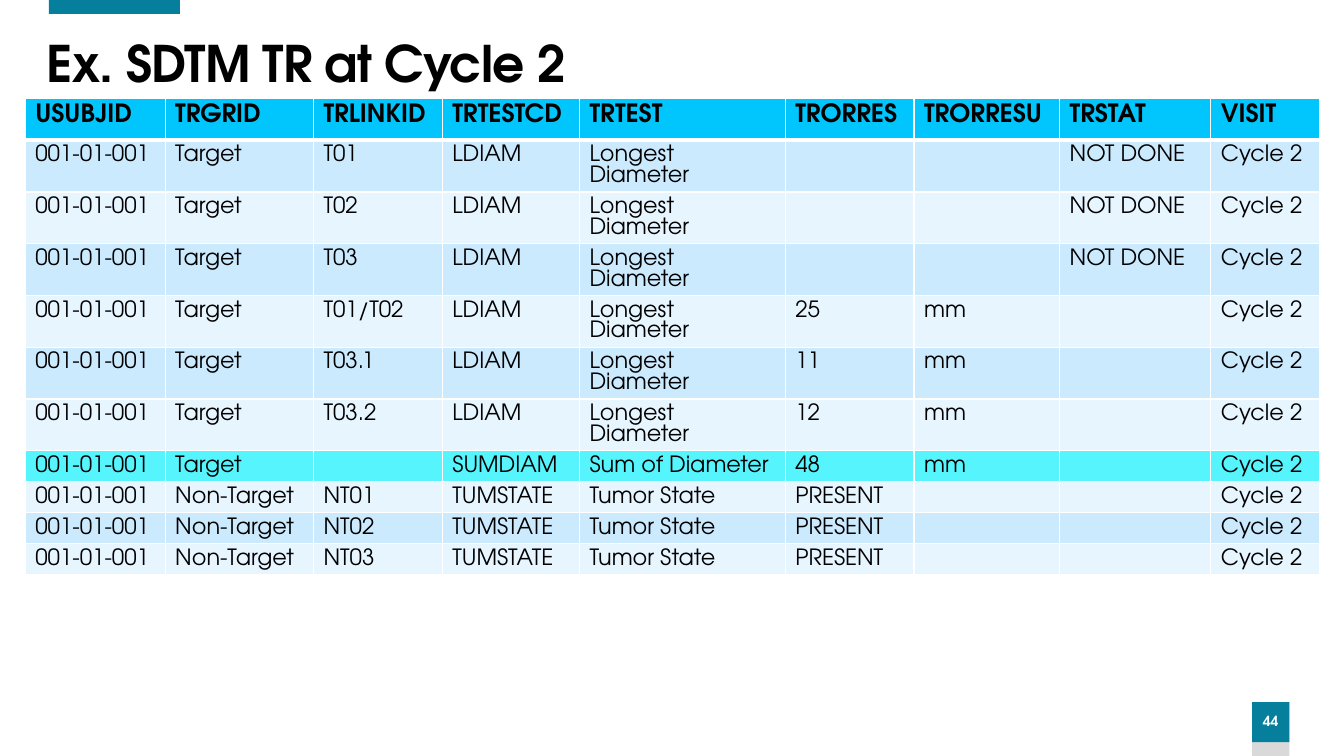
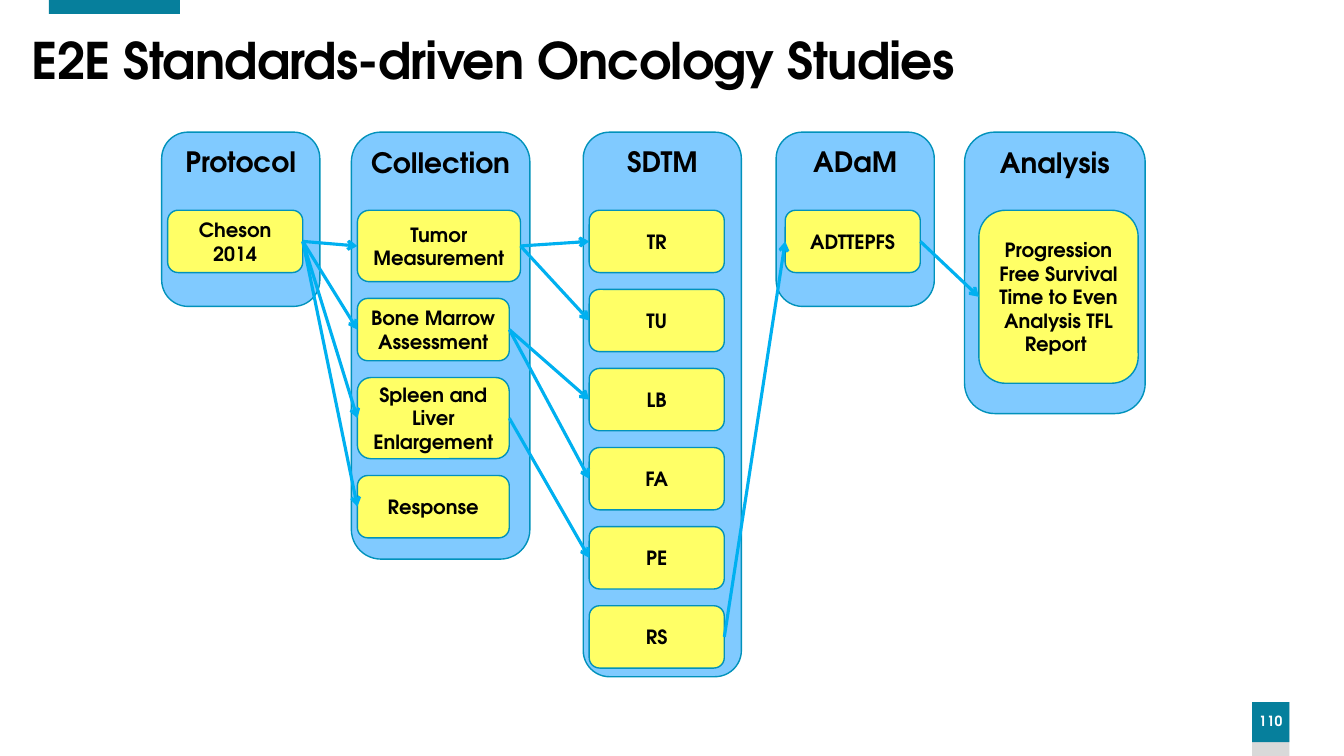
from lxml import etree
from pptx import Presentation
from pptx.dml.color import RGBColor
from pptx.enum import shapes, text
from pptx.oxml import ns
from pptx.util import Pt

FONT = "TeX Gyre Adventor"
BLACK = RGBColor(0x00, 0x00, 0x00)
WHITE = RGBColor(0xFF, 0xFF, 0xFF)
GREY = RGBColor(0xD9, 0xD9, 0xD9)
TEAL = RGBColor(0x06, 0x7F, 0x9C)
HEADER = RGBColor(0x01, 0xC6, 0xFD)
BANDS = (RGBColor(0xE7, 0xF5, 0xFF), RGBColor(0xCC, 0xEA, 0xFE))
SUM_ROW = RGBColor(0x56, 0xF5, 0xFD)
COLUMN = RGBColor(0x80, 0xCA, 0xFF)
BOX = RGBColor(0xFF, 0xFF, 0x66)
OUTLINE = RGBColor(0x01, 0x92, 0xBB)
ARROW = RGBColor(0x00, 0xB0, 0xF0)

LEFT, CENTER = text.PP_ALIGN.LEFT, text.PP_ALIGN.CENTER
TOP, MIDDLE = text.MSO_ANCHOR.TOP, text.MSO_ANCHOR.MIDDLE
RECT = shapes.MSO_SHAPE.RECTANGLE
ROUNDED = shapes.MSO_SHAPE.ROUNDED_RECTANGLE
LEFT_SITE, RIGHT_SITE = 1, 3

TABLE_COLS = (100, 106, 92, 98, 147, 92, 104, 108, 78)
TABLE_HEAD = ("USUBJID", "TRGRID", "TRLINKID", "TRTESTCD", "TRTEST",
              "TRORRES", "TRORRESU", "TRSTAT", "VISIT")
LESION = ("LDIAM", "Longest Diameter")
STATE = ("TUMSTATE", "Tumor State", "PRESENT", "", "")
RECORDS = (
    ("Target", "T01", *LESION, "", "", "NOT DONE"),
    ("Target", "T02", *LESION, "", "", "NOT DONE"),
    ("Target", "T03", *LESION, "", "", "NOT DONE"),
    ("Target", "T01/T02", *LESION, "25", "mm", ""),
    ("Target", "T03.1", *LESION, "11", "mm", ""),
    ("Target", "T03.2", *LESION, "12", "mm", ""),
    ("Target", "", "SUMDIAM", "Sum of Diameter", "48", "mm", ""),
    ("Non-Target", "NT01", *STATE),
    ("Non-Target", "NT02", *STATE),
    ("Non-Target", "NT03", *STATE),
)

COLUMN_TOP, BOX_TOP, BOX_GAP, BOX_H = 94.4, 150.2, 12, 44.5
SDTM_DOMAINS = ("TR", "TU", "LB", "FA", "PE", "RS")
STAGES = (
    ("Protocol", 115.5, 113, 124.5, 4.3, (("Cheson 2014", 96.5, BOX_H),)),
    ("Collection", 251, 127.5, 305, 4.3, (
        ("Tumor Measurement", 116.5, 51),
        ("Bone Marrow Assessment", 108.5, BOX_H),
        ("Spleen and Liver Enlargement", 108.5, 58),
        ("Response", 108.5, BOX_H))),
    ("SDTM", 416.6, 113, 389, 4.3,
     tuple((name, 96.5, BOX_H) for name in SDTM_DOMAINS)),
    ("ADaM", 554.4, 113, 124.5, 6.5, (("ADTTEPFS", 96.5, BOX_H),)),
    ("Analysis", 689, 129, 201, 10.2, (
        ("Progression Free Survival Time to Even Analysis TFL Report ",
         113.8, 123.6),)),
)
FLOWS = (
    ("Cheson 2014", ("Tumor Measurement", "Bone Marrow Assessment",
                     "Spleen and Liver Enlargement", "Response")),
    ("Tumor Measurement", ("TR", "TU")),
    ("Bone Marrow Assessment", ("LB", "FA")),
    ("Spleen and Liver Enlargement", ("PE",)),
    ("RS", ("ADTTEPFS",)),
    ("ADTTEPFS", (STAGES[-1][-1][0][0],)),
)


def write(tf, content, size=14, color=BLACK, bold=True, align=CENTER,
          anchor=MIDDLE, spacing=None, tracking=None):
    tf.word_wrap = True
    tf.vertical_anchor = anchor
    p = tf.paragraphs[0]
    p.alignment = align
    if spacing:
        p.line_spacing = spacing
    if not content:
        end = etree.SubElement(p._p, ns.qn("a:endParaRPr"), sz=str(size * 100))
        etree.SubElement(end, ns.qn("a:latin"), typeface=FONT)
        return
    r = p.add_run()
    r.text = content
    r.font.name = FONT
    r.font.size = Pt(size)
    r.font.bold = bold
    r.font.color.rgb = color
    if tracking:
        r._r.get_or_add_rPr().set("spc", str(round(tracking * 100)))


def add_box(s, kind, x, y, w, h, fill, line=None):
    sp = s.shapes.add_shape(kind, Pt(x), Pt(y), Pt(w), Pt(h))
    sp.shadow.inherit = False
    sp.fill.solid()
    sp.fill.fore_color.rgb = fill
    if line:
        sp.line.color.rgb = line
        sp.line.width = Pt(1)
    else:
        sp.line.fill.background()
    return sp


def add_slide(prs, title, number, x, y, w, h):
    s = prs.slides.add_slide(prs.slide_layouts[5])
    add_box(s, RECT, 894.4, 501.6, 26.6, 38.4, GREY)
    badge = add_box(s, RECT, 894.4, 501.6, 26.6, 28.6, TEAL)
    badge.text_frame.margin_left = badge.text_frame.margin_right = 0
    write(badge.text_frame, number, size=10, color=WHITE, spacing=0.9)
    add_box(s, RECT, 35, 0, 93.6, 10, TEAL)
    sp = s.shapes.title
    sp.left, sp.top, sp.width, sp.height = Pt(x), Pt(y), Pt(w), Pt(h)
    sp.text_frame.auto_size = text.MSO_AUTO_SIZE.NONE
    write(sp.text_frame, title, size=36, align=LEFT, spacing=0.9, tracking=-0.6)
    return s


def set_borders(cell, **widths):
    tc_pr = cell._tc.get_or_add_tcPr()
    for i, side in enumerate("LRTB"):
        ln = etree.Element(ns.qn("a:ln" + side), w=str(Pt(widths.get(side, 1))))
        fill = etree.SubElement(ln, ns.qn("a:solidFill"))
        etree.SubElement(fill, ns.qn("a:srgbClr"), val=str(WHITE))
        tc_pr.insert(i, ln)


def add_records(s, x, y):
    rows = [TABLE_HEAD] + [("001-01-001", *rec, "Cycle 2") for rec in RECORDS]
    heights = [29.5] + [37 if LESION[1] in row else 22 for row in rows[1:]]
    table = s.shapes.add_table(len(rows), len(TABLE_COLS), Pt(x), Pt(y),
                               Pt(sum(TABLE_COLS)), Pt(sum(heights))).table
    for col, width in zip(table.columns, TABLE_COLS):
        col.width = Pt(width)
    for i, (row, height) in enumerate(zip(rows, heights)):
        table.rows[i].height = Pt(height)
        fill = HEADER if i == 0 else SUM_ROW if "SUMDIAM" in row else BANDS[i % 2]
        for j, value in enumerate(row):
            cell = table.cell(i, j)
            cell.fill.solid()
            cell.fill.fore_color.rgb = fill
            set_borders(cell, T=3 if i == 1 else 1, B=3 if i == 0 else 1)
            write(cell.text_frame, value, size=16 if i else 18, bold=i == 0,
                  align=LEFT, anchor=TOP)


def add_stage(s, name, x, w, h, inset, items):
    column = add_box(s, ROUNDED, x, COLUMN_TOP, w, h, COLUMN, OUTLINE)
    write(column.text_frame, name, size=20, anchor=TOP)
    boxes, y = {}, BOX_TOP
    for label, box_w, box_h in items:
        sp = add_box(s, ROUNDED, x + inset, y, box_w, box_h, BOX, OUTLINE)
        write(sp.text_frame, label)
        boxes[label] = sp
        y += box_h + BOX_GAP
    return boxes


def add_arrow(s, start, end):
    c = s.shapes.add_connector(shapes.MSO_CONNECTOR.STRAIGHT, 0, 0, 0, 0)
    c.begin_connect(start, RIGHT_SITE)
    c.end_connect(end, LEFT_SITE)
    c.line.color.rgb = ARROW
    c.line.width = Pt(2.25)
    etree.SubElement(c.line._get_or_add_ln(), ns.qn("a:tailEnd"), type="arrow")
    etree.SubElement(c._element.spPr, ns.qn("a:effectLst"))


def main():
    prs = Presentation()
    prs.slide_width, prs.slide_height = Pt(960), Pt(540)

    s = add_slide(prs, "Ex. SDTM TR at Cycle 2", "44", 26.3, 23.6, 880, 46.8)
    add_records(s, 18, 70.6)

    s = add_slide(prs, "E2E Standards-driven Oncology Studies", "110",
                  15.5, 15.5, 788.4, 59.8)
    boxes = {}
    for stage in STAGES:
        boxes.update(add_stage(s, *stage))
    for source, targets in FLOWS:
        for target in targets:
            add_arrow(s, boxes[source], boxes[target])

    prs.save("out.pptx")


if __name__ == "__main__":
    main()
